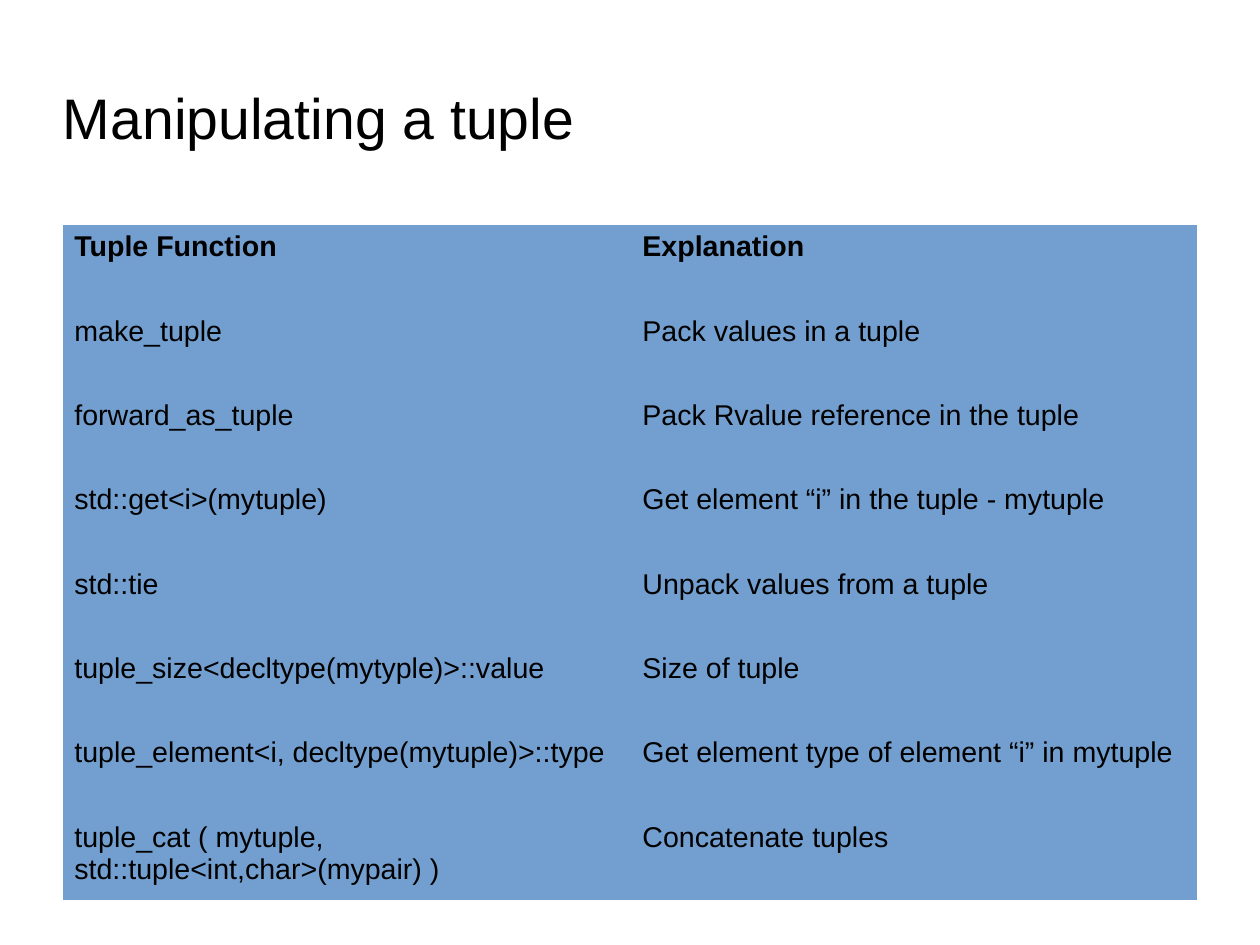
from pptx import Presentation
from pptx import util as u
from pptx.dml import color
from pptx.enum import text

PX = 8000
FONT = "Arial"
BLACK = "000000"
BLUE = "729FCF"
NO_STYLE = "{2D5ABB26-0587-4C30-8999-92F81FD0307C}"
COLUMNS = [568, 566]
ROWS = [
    ("Tuple Function", "Explanation"),
    ("make_tuple", "Pack values in a tuple"),
    ("forward_as_tuple", "Pack Rvalue reference in the tuple"),
    ("std::get<i>(mytuple)", "Get element “i” in the tuple - mytuple"),
    ("std::tie", "Unpack values from a tuple"),
    ("tuple_size<decltype(mytyple)>::value", "Size of tuple"),
    ("tuple_element<i, decltype(mytuple)>::type", "Get element type of element “i” in mytuple"),
    ("tuple_cat ( mytuple, std::tuple<int,char>(mypair) )", "Concatenate tuples"),
]


def px(*lengths):
    """Turn pixel lengths into EMU."""
    return [u.Emu(n * PX) for n in lengths]


def rgb(value):
    """Turn a hex string into a colour."""
    return color.RGBColor.from_string(value)


def write(tf, words, size, bold=False):
    """Put one formatted paragraph into a text frame."""
    tf.text = words
    font = tf.paragraphs[0].runs[0].font
    font.name, font.size, font.bold = FONT, u.Pt(size), bold
    font.color.rgb = rgb(BLACK)


def add_title(s, words, box):
    """Add the slide heading as a text box without insets."""
    tf = s.shapes.add_textbox(*px(*box)).text_frame
    tf.word_wrap = True
    tf.vertical_anchor = text.MSO_ANCHOR.MIDDLE
    tf.margin_left = tf.margin_right = tf.margin_top = tf.margin_bottom = 0
    write(tf, words, 36)


def add_grid(s, rows, columns, left, top, height):
    """Add a plain filled table whose first row is bold."""
    box = px(left, top, sum(columns), height)
    table = s.shapes.add_table(len(rows), len(columns), *box).table
    table._tbl.tblPr[0].text = NO_STYLE
    table.horz_banding = False
    for column, width in zip(table.columns, px(*columns)):
        column.width = width
    for i, row in enumerate(rows):
        for j, words in enumerate(row):
            cell = table.cell(i, j)
            cell.fill.solid()
            cell.fill.fore_color.rgb = rgb(BLUE)
            write(cell.text_frame, words, 18, bold=i == 0)


def main():
    """Build and save the slide."""
    prs = Presentation()
    prs.slide_width, prs.slide_height = px(1260, 945)
    s = prs.slides.add_slide(prs.slide_layouts[6])
    add_title(s, "Manipulating a tuple", (63, 72, 900, 90))
    add_grid(s, ROWS, COLUMNS, 63, 225, 675)
    prs.save("out.pptx")


if __name__ == "__main__":
    main()
